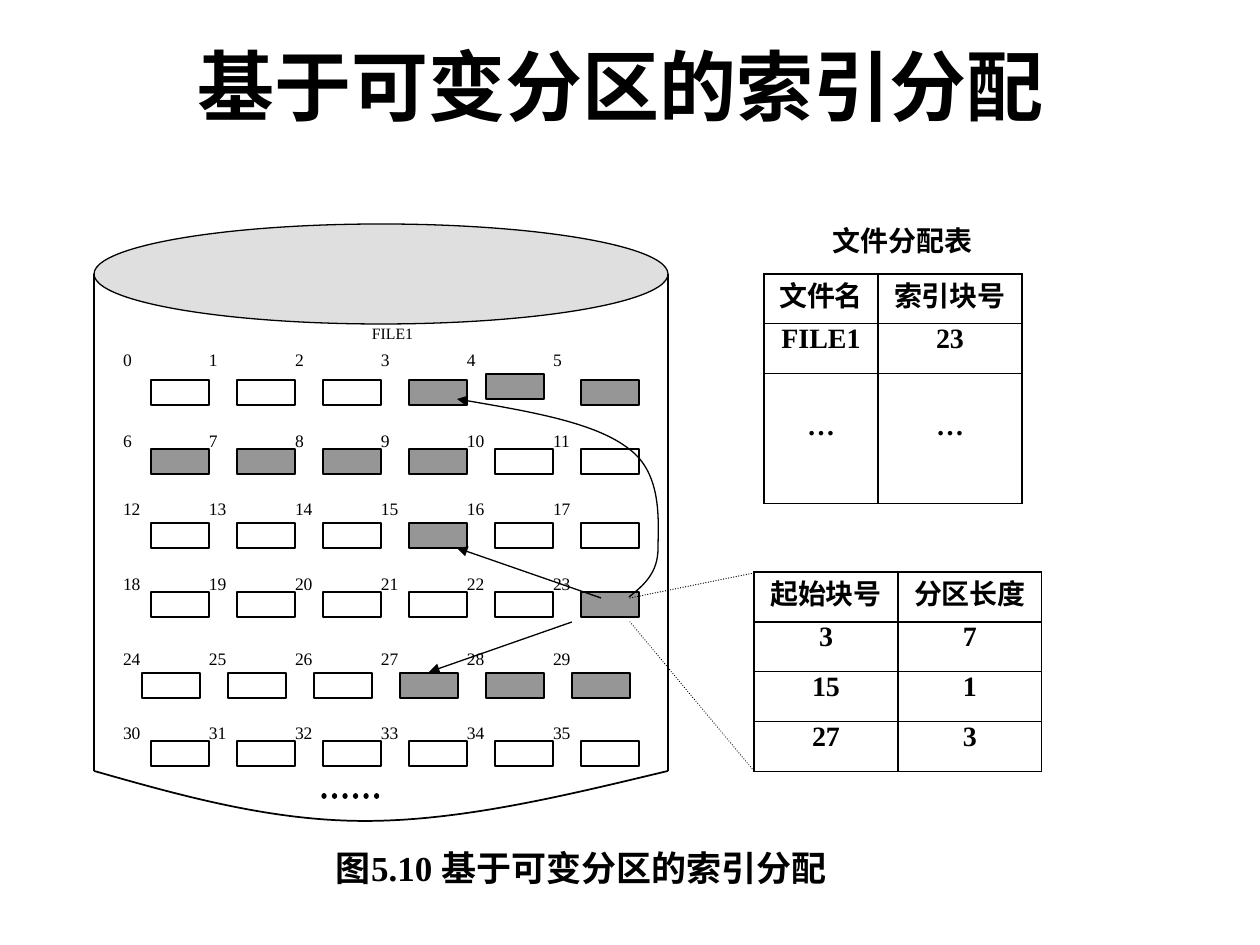
"""Build the slide on indexed allocation with variable-sized partitions."""
from dataclasses import dataclass

from lxml.etree import SubElement
from pptx import Presentation
from pptx.dml.color import RGBColor
from pptx.enum.dml import MSO_LINE_DASH_STYLE as Dash
from pptx.enum.shapes import MSO_CONNECTOR as Conn, MSO_SHAPE as Shape
from pptx.enum.text import MSO_ANCHOR as Anchor, PP_ALIGN as Align
from pptx.oxml.ns import qn
from pptx.util import Pt

EMU_PER_PX = 914400 / 126
BLACK = RGBColor(0x00, 0x00, 0x00)
USED_GRAY = RGBColor(0x96, 0x96, 0x96)
LID_GRAY = RGBColor(0xDF, 0xDF, 0xDF)
SERIF = "Times New Roman"
SANS = "Noto Sans CJK SC"
COLUMNS, PITCH, LABEL_X = 6, 86, 123
BLOCK_W, BLOCK_H = 58, 25
USED_BLOCKS = {*range(3, 10), 15, 23, 27, 28, 29}
MOVED_BLOCKS = {4: (486, 374)}


@dataclass(frozen=True)
class BlockRow:
    label_y: int
    block_y: int
    block_x: int = 151


@dataclass(frozen=True)
class Grid:
    x: int
    y: int
    widths: tuple[int, ...]
    heights: tuple[int, ...]
    rows: tuple[tuple[str, ...], ...]


@dataclass(frozen=True)
class Link:
    start: tuple[int, int]
    end: tuple[int, int]
    arrow: bool = False
    dotted: bool = False
    width: float = 0.75


@dataclass(frozen=True)
class Label:
    text: str
    box: tuple[int, int, int, int]
    size: int
    bold: bool = True
    align: Align = Align.CENTER
    font: str = SERIF
    anchor: Anchor = Anchor.TOP


BLOCK_ROWS = (
    BlockRow(349, 380),
    BlockRow(430, 449),
    BlockRow(498, 523),
    BlockRow(573, 592),
    BlockRow(648, 673, 142),
    BlockRow(722, 741),
)
GRIDS = (
    Grid(764, 274, (114, 144), (50, 50, 130),
         (("文件名", "索引块号"), ("FILE1", "23"), ("…", "…"))),
    Grid(754, 572, (144, 144), (50, 50, 50, 50),
         (("起始块号", "分区长度"), ("3", "7"), ("15", "1"), ("27", "3"))),
)
LINKS = (
    Link((94, 274), (94, 771)),
    Link((668, 274), (668, 771)),
    Link((324, 796), (381, 796), dotted=True, width=3),
    Link((572, 622), (429, 672), arrow=True),
    Link((601, 598), (457, 548), arrow=True),
    Link((630, 598), (754, 573), dotted=True),
    Link((630, 622), (754, 771), dotted=True),
)
LABELS = (
    Label("基于可变分区的索引分配", (54, 6, 1134, 158), 44, font=SANS, anchor=Anchor.MIDDLE),
    Label("文件分配表", (764, 224, 277, 50), 16),
    Label("图5.10 基于可变分区的索引分配", (123, 846, 917, 69), 20),
    Label("FILE1", (372, 324, 115, 50), 9, False, Align.LEFT),
)
DISK_BOTTOM = ((94, 771), (182, 796), (271, 821), (365, 821), (461, 821), (564, 796), (668, 771))
INDEX_CURVE = ((629, 597), (644, 585), (658, 573), (658, 548), (658, 523),
               (663, 474), (629, 449), (596, 423), (527, 411), (457, 399))


def px(n: int) -> int:
    return round(n * EMU_PER_PX)


def style_text(tf, size: int, bold: bool, align: Align, font: str = SERIF) -> None:
    p = tf.paragraphs[0]
    p.alignment = align
    r = p.runs[0]
    r.font.name, r.font.size, r.font.bold = font, Pt(size), bold
    r.font.color.rgb = BLACK
    SubElement(r.font._element, qn("a:ea"), typeface=SANS)


def add_label(slide, label: Label) -> None:
    tf = slide.shapes.add_textbox(*map(px, label.box)).text_frame
    tf.margin_left = tf.margin_right = tf.margin_top = tf.margin_bottom = 0
    tf.word_wrap, tf.vertical_anchor = True, label.anchor
    tf.text = label.text
    style_text(tf, label.size, label.bold, label.align, label.font)


def set_line(sp, width: float = 0.75, arrow: bool = False) -> None:
    sp.line.color.rgb, sp.line.width = BLACK, Pt(width)
    if arrow:
        SubElement(sp.get_or_add_ln(), qn("a:tailEnd"), type="triangle")


def add_outline(slide, kind: Shape, box: tuple[int, int, int, int], fill: RGBColor | None) -> None:
    sp = slide.shapes.add_shape(kind, *map(px, box))
    sp.shadow.inherit = False
    if fill is None:
        sp.fill.background()
    else:
        sp.fill.solid()
        sp.fill.fore_color.rgb = fill
    set_line(sp)


def add_link(slide, link: Link) -> None:
    sp = slide.shapes.add_connector(Conn.STRAIGHT, *map(px, link.start + link.end))
    set_line(sp, link.width)
    if link.dotted:
        sp.line.dash_style = Dash.ROUND_DOT
        sp.get_or_add_ln().set("cap", "rnd")
    if link.arrow:
        set_line(sp, link.width, True)
    SubElement(sp._element.spPr, qn("a:effectLst"))


def add_curve(slide, points: tuple[tuple[int, int], ...], width: float, arrow: bool = False) -> None:
    builder = slide.shapes.build_freeform(*points[0], scale=EMU_PER_PX)
    builder.add_line_segments(points[1:], close=False)
    sp = builder.convert_to_shape()
    sp.shadow.inherit = False
    sp.fill.background()
    set_line(sp, width, arrow)
    path = next(sp._element.iter(qn("a:path")))
    segments = path.findall(qn("a:lnTo"))
    for first, second, third in zip(segments[::3], segments[1::3], segments[2::3]):
        first.tag = qn("a:cubicBezTo")
        for segment in (second, third):
            first.append(segment[0])
            path.remove(segment)


def add_grid(slide, grid: Grid) -> None:
    box = (grid.x, grid.y, sum(grid.widths), sum(grid.heights))
    table = slide.shapes.add_table(len(grid.rows), len(grid.widths), *map(px, box)).table
    table.first_row = table.horz_banding = False
    for column, width in zip(table.columns, grid.widths):
        column.width = px(width)
    for row, height, texts in zip(table.rows, grid.heights, grid.rows):
        row.height = px(height)
        for cell, text in zip(row.cells, texts):
            cell.margin_left = cell.margin_right = cell.margin_bottom = 0
            cell.margin_top = px(37) if text == "…" else 0
            cell.text = text
            style_text(cell.text_frame, 16, True, Align.CENTER)
            for side in ("lnL", "lnR", "lnT", "lnB"):
                ln = SubElement(cell._tc.get_or_add_tcPr(), qn(f"a:{side}"), w=str(Pt(0.75)))
                SubElement(SubElement(ln, qn("a:solidFill")), qn("a:srgbClr"), val=str(BLACK))
            cell.fill.background()


def add_blocks(slide) -> None:
    for number in range(COLUMNS * len(BLOCK_ROWS)):
        row, column = BLOCK_ROWS[number // COLUMNS], number % COLUMNS
        x, y = MOVED_BLOCKS.get(number, (row.block_x + column * PITCH, row.block_y))
        fill = USED_GRAY if number in USED_BLOCKS else None
        add_outline(slide, Shape.RECTANGLE, (x, y, BLOCK_W, BLOCK_H), fill)
        label_box = (LABEL_X + column * PITCH, row.label_y, BLOCK_W, 50)
        add_label(slide, Label(str(number), label_box, 10, False, Align.LEFT))


def main() -> None:
    prs = Presentation()
    prs.slide_width, prs.slide_height = px(1260), px(945)
    slide = prs.slides.add_slide(prs.slide_layouts[6])
    add_outline(slide, Shape.OVAL, (94, 224, 574, 100), LID_GRAY)
    add_curve(slide, DISK_BOTTOM, 1)
    add_blocks(slide)
    add_curve(slide, INDEX_CURVE, 0.75, True)
    for link in LINKS:
        add_link(slide, link)
    for grid in GRIDS:
        add_grid(slide, grid)
    for label in LABELS:
        add_label(slide, label)
    prs.save("out.pptx")


if __name__ == "__main__":
    main()
